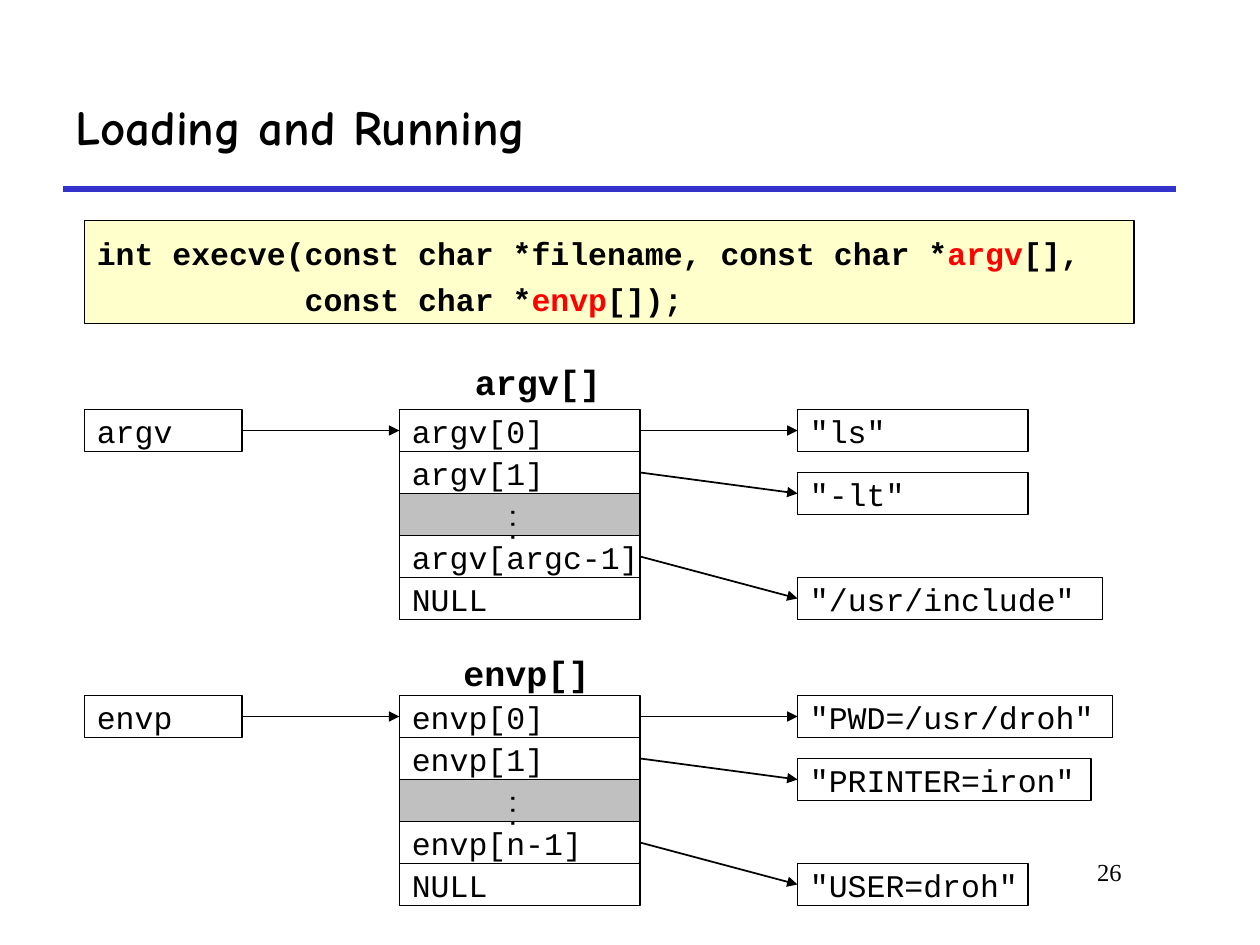
from pptx import Presentation
from pptx import util as u
from pptx.dml.color import RGBColor
from pptx.enum import shapes, text
from pptx.oxml.ns import qn
from lxml import etree

BLACK = RGBColor(0x00, 0x00, 0x00)
RED = RGBColor(0xFF, 0x00, 0x00)
BLUE = RGBColor(0x33, 0x33, 0xCC)
GRAY = RGBColor(0xC0, 0xC0, 0xC0)
CREAM = RGBColor(0xFF, 0xFF, 0xCC)
MONO = "Courier New"
ROW = 1 / 3
LEFT, MID, RIGHT = 0.67, 3.17, 6.33


def add_run(para, words, size, font=MONO, bold=False, color=BLACK):
    """Add one styled run to a paragraph."""
    run = para.add_run()
    run.text = words
    run.font.size = u.Pt(size)
    run.font.name = font
    run.font.bold = bold
    run.font.color.rgb = color


def add_label(slide, box, words, size, font=MONO, bold=False,
              anchor=text.MSO_ANCHOR.MIDDLE, align=text.PP_ALIGN.LEFT, wrap=False):
    """Place a plain line of text in the given box."""
    frame = slide.shapes.add_textbox(*map(u.Inches, box)).text_frame
    frame.word_wrap = wrap
    frame.vertical_anchor = anchor
    para = frame.paragraphs[0]
    para.alignment = align
    add_run(para, words, size, font, bold)


def add_rect(slide, box, fill=None, width=1):
    """Draw an outlined rectangle with left-aligned text."""
    rect = slide.shapes.add_shape(shapes.MSO_SHAPE.RECTANGLE, *map(u.Inches, box))
    rect.shadow.inherit = False
    if fill is None:
        rect.fill.background()
    else:
        rect.fill.solid()
        rect.fill.fore_color.rgb = fill
    rect.line.color.rgb = BLACK
    rect.line.width = u.Pt(width)
    rect.text_frame.paragraphs[0].alignment = text.PP_ALIGN.LEFT
    return rect


def add_cell(slide, box, words):
    """Draw a cell; an ellipsis becomes a gray cell with upright dots."""
    dots = words == "..."
    rect = add_rect(slide, box, GRAY if dots else None)
    frame = rect.text_frame
    frame.word_wrap = False
    if dots:
        frame.margin_left = frame.margin_right = u.Inches(0.05)
        frame.margin_top = frame.margin_bottom = u.Inches(0.1)
        frame._txBody.bodyPr.set("vert", "eaVert")
    add_run(frame.paragraphs[0], words, 12 if dots else 18, bold=dots)
    return rect


def add_line(slide, ends, color, width):
    """Draw a straight line without a shadow."""
    line = slide.shapes.add_connector(shapes.MSO_CONNECTOR.STRAIGHT, *map(u.Inches, ends))
    line.line.color.rgb = color
    line.line.width = u.Pt(width)
    etree.SubElement(line._element.spPr, qn("a:effectLst"))
    return line


def add_arrow(slide, start, end):
    """Join the right side of one cell to the left side of another."""
    arrow = add_line(slide, (0, 0, 1, 1), BLACK, 1)
    arrow.begin_connect(start, 3)
    arrow.end_connect(end, 1)
    etree.SubElement(arrow.line._get_or_add_ln(), qn("a:tailEnd"), type="triangle")


def add_head(slide, box):
    """Place the title and the rule under it."""
    left, top, width, height = box
    add_label(slide, box, "Loading and Running", 28, "Comic Neue", True, wrap=True)
    add_line(slide, (left, top + height, left + width, top + height), BLUE, 3)


def add_code(slide, box):
    """Place the function prototype on its cream panel."""
    frame = add_rect(slide, box, CREAM, 0.75).text_frame
    frame.word_wrap = True
    frame.vertical_anchor = text.MSO_ANCHOR.TOP
    first, second = frame.paragraphs[0], frame.add_paragraph()
    lines = [
        (first, 4.5, 0, ("int execve(const char *filename, const char *", "argv", "[],")),
        (second, 0, 1.65, ("const char *", "envp", "[]);")),
    ]
    for para, before, indent, (lead, name, tail) in lines:
        para.alignment = text.PP_ALIGN.LEFT
        para.line_spacing = 1.2
        para.space_before = u.Pt(before)
        para._p.get_or_add_pPr().set("marL", str(u.Inches(indent)))
        add_run(para, lead, 18, bold=True)
        add_run(para, name, 18, bold=True, color=RED)
        add_run(para, tail, 18, bold=True)


def add_array(slide, top, name, last, head, targets):
    """Draw a pointer, its array and the strings the array points to."""
    add_label(slide, (*head, 1.2, 0.44), name + "[]", 20, bold=True)
    pointer = add_cell(slide, (LEFT, top, 1.25, ROW), name)
    rows = [f"{name}[0]", f"{name}[1]", "...", f"{name}[{last}]", "NULL"]
    cells = [add_cell(slide, (MID, top + i * ROW, 1.91, ROW), words)
             for i, words in enumerate(rows)]
    add_arrow(slide, pointer, cells[0])
    for row, drop, (words, width) in zip((0, 1, 3), (0, 1.5, 4), targets):
        value = add_cell(slide, (RIGHT, top + drop * ROW, width, ROW), words)
        add_arrow(slide, cells[row], value)


def main():
    """Build and save the slide."""
    deck = Presentation()
    deck.slide_width, deck.slide_height = u.Inches(10), u.Inches(7.5)
    slide = deck.slides.add_slide(deck.slide_layouts[6])
    add_head(slide, (0.5, 0.5, 8.83, 1))
    add_code(slide, (LEFT, 1.75, 8.33, 0.82))
    add_array(slide, 3.25, "argv", "argc-1", (3.67, 2.81),
              [('"ls"', 1.83), ('"-lt"', 1.83), ('"/usr/include"', 2.42)])
    add_array(slide, 5.52, "envp", "n-1", (3.58, 5.12),
              [('"PWD=/usr/droh"', 2.5), ('"PRINTER=iron"', 2.33), ('"USER=droh"', 1.83)])
    add_label(slide, (7.58, 6.75, 1.42, 0.5), "26", 14, "Times New Roman",
              anchor=text.MSO_ANCHOR.TOP, align=text.PP_ALIGN.RIGHT, wrap=True)
    deck.save("out.pptx")


if __name__ == "__main__":
    main()
